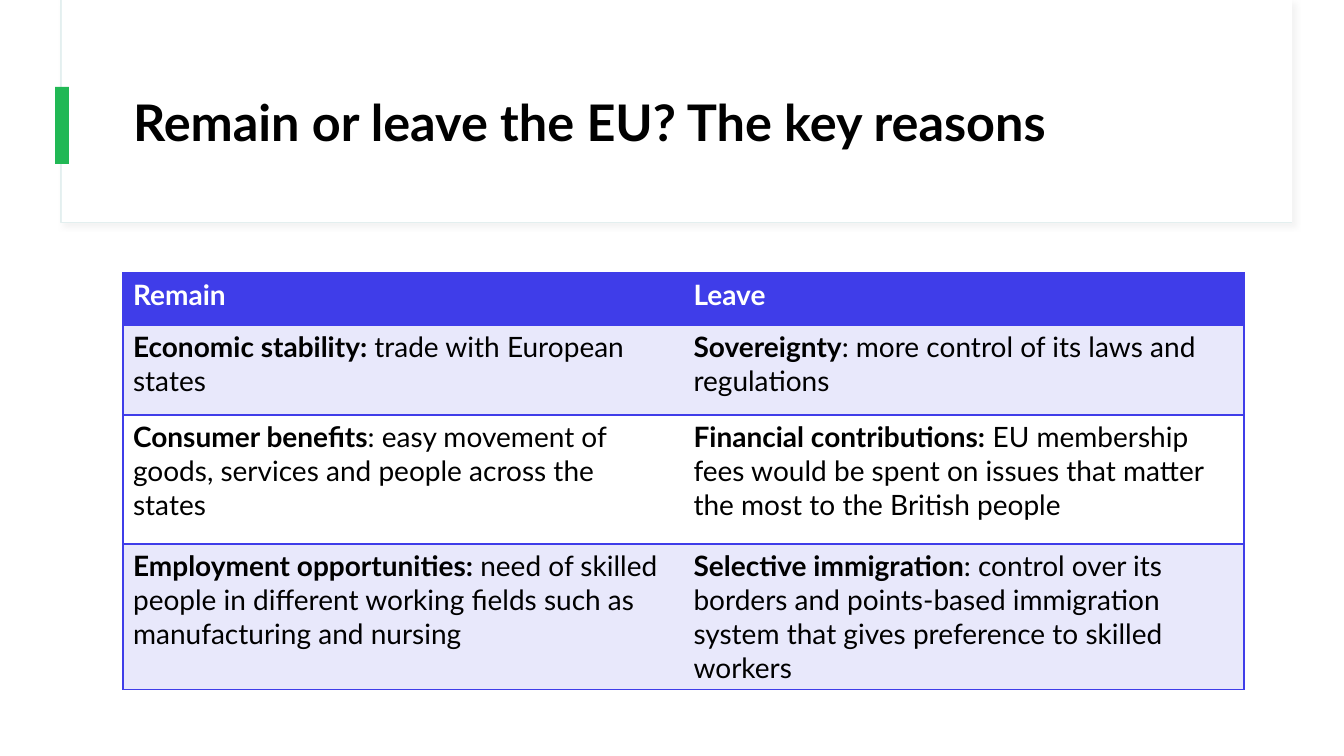
from dataclasses import dataclass

import pptx
import pptx.dml.color
import pptx.enum.shapes
import pptx.enum.text
import pptx.oxml
import pptx.oxml.ns
import pptx.util

TITLE = "Remain or leave the EU? The key reasons"
HEADERS = ("Remain", "Leave")
# Each reason is a bold lead followed by plain text.
REASONS = [
    (("Economic stability: ", "trade with European states"),
     ("Sovereignty", ": more control of its laws and regulations")),
    (("Consumer benefits",
      ": easy movement of goods, services and people across the states"),
     ("Financial contributions:",
      " EU membership fees would be spent on issues that matter the most"
      " to the British people")),
    (("Employment opportunities: ",
      "need of skilled people in different working fields such as"
      " manufacturing and nursing"),
     ("Selective immigration",
      ": control over its borders and points-based immigration system"
      " that gives preference to skilled workers")),
]


@dataclass(frozen=True)
class Theme:
    font: str = "Lato"
    title_size: int = 36
    table_size: int = 20
    black: str = "000000"
    white: str = "FFFFFF"
    green: str = "21B855"
    blue: str = "3F3DE9"
    lavender: str = "E8E8FB"
    frame: str = "E3EFEF"
    shadow: str = "D9D9D9"


THEME = Theme()
PX_PER_INCH = 100.8
SLIDE_SIZE = (1344, 756)
FRAME_BOX = (61, 0, 1231, 223)
PANEL_BOX = (62, 0, 1230, 222)
ACCENT_BOX = (55, 87, 14, 77)
TITLE_BOX = (123, 60, 1121, 130)
TABLE_LEFT, TABLE_TOP, TABLE_WIDTH = 123, 273, 1121
ROW_HEIGHTS = (52, 90, 129, 145)
TABLE_BOX = (TABLE_LEFT, TABLE_TOP, TABLE_WIDTH, sum(ROW_HEIGHTS))


def px(length):
    return pptx.util.Inches(length / PX_PER_INCH)


def rgb(color):
    return pptx.dml.color.RGBColor.from_string(color)


def style_font(font, size, color, bold=None):
    font.name, font.size, font.bold = THEME.font, pptx.util.Pt(size), bold
    font.color.rgb = rgb(color)


def add_rectangle(slide, box, color):
    shape = slide.shapes.add_shape(
        pptx.enum.shapes.MSO_SHAPE.RECTANGLE, *map(px, box))
    shape.shadow.inherit = False
    shape.fill.solid()
    shape.fill.fore_color.rgb = rgb(color)
    shape.line.fill.background()
    return shape


def add_header_panel(slide):
    frame = add_rectangle(slide, FRAME_BOX, THEME.white)
    frame.line.color.rgb = rgb(THEME.frame)
    frame.line.width = pptx.util.Pt(0.75)
    effects = frame._element.spPr.find(pptx.oxml.ns.qn("a:effectLst"))
    effects.append(pptx.oxml.parse_xml(
        f'<a:outerShdw {pptx.oxml.ns.nsdecls("a")} blurRad="{pptx.util.Pt(4)}" '
        f'dist="{pptx.util.Pt(3)}" dir="2700000"><a:srgbClr val="{THEME.shadow}">'
        '<a:alpha val="30000"/></a:srgbClr></a:outerShdw>'))
    add_rectangle(slide, PANEL_BOX, THEME.white)
    add_rectangle(slide, ACCENT_BOX, THEME.green)


def place_title(slide):
    """Format the title and bring it in front of the header panel."""
    title = slide.shapes.title
    title.left, title.top, title.width, title.height = map(px, TITLE_BOX)
    frame = title.text_frame
    frame.text = TITLE
    frame.word_wrap = True
    frame.auto_size = pptx.enum.text.MSO_AUTO_SIZE.NONE
    frame.vertical_anchor = pptx.enum.text.MSO_ANCHOR.MIDDLE
    paragraph = frame.paragraphs[0]
    paragraph.alignment = pptx.enum.text.PP_ALIGN.LEFT
    paragraph.line_spacing = 0.9
    style_font(paragraph.font, THEME.title_size, THEME.black, True)
    slide.shapes._spTree.append(title._element)


def set_borders(cell, visible_sides):
    properties = cell._tc.get_or_add_tcPr()
    for side in "LRTB":
        paint = (f'<a:solidFill><a:srgbClr val="{THEME.blue}"/></a:solidFill>'
                 if side in visible_sides else "<a:noFill/>")
        properties.append(pptx.oxml.parse_xml(
            f'<a:ln{side} {pptx.oxml.ns.nsdecls("a")} w="{pptx.util.Pt(1)}">'
            f'{paint}</a:ln{side}>'))


def fill_cell(cell, parts, text_color, fill_color, outer_side):
    set_borders(cell, "TB" + outer_side)
    cell.fill.solid()
    cell.fill.fore_color.rgb = rgb(fill_color)
    paragraph = cell.text_frame.paragraphs[0]
    style_font(paragraph.font, THEME.table_size, text_color)
    for index, text in enumerate(parts):
        run = paragraph.add_run()
        run.text = text
        style_font(run.font, THEME.table_size, text_color, index == 0)


def add_reasons_table(slide):
    rows = [[(header,) for header in HEADERS], *REASONS]
    table = slide.shapes.add_table(
        len(rows), len(HEADERS), *map(px, TABLE_BOX)).table
    for column in table.columns:
        column.width = px(TABLE_WIDTH / len(HEADERS))
    for row_index, row in enumerate(rows):
        table.rows[row_index].height = px(ROW_HEIGHTS[row_index])
        if row_index == 0:
            text_color, fill_color = THEME.white, THEME.blue
        else:
            text_color = THEME.black
            fill_color = THEME.lavender if row_index % 2 else THEME.white
        for column_index, parts in enumerate(row):
            fill_cell(table.cell(row_index, column_index), parts,
                      text_color, fill_color, "LR"[column_index])


def main():
    presentation = pptx.Presentation()
    presentation.slide_width, presentation.slide_height = map(px, SLIDE_SIZE)
    slide = presentation.slides.add_slide(presentation.slide_layouts[5])
    add_header_panel(slide)
    place_title(slide)
    add_reasons_table(slide)
    presentation.save("out.pptx")


if __name__ == "__main__":
    main()
